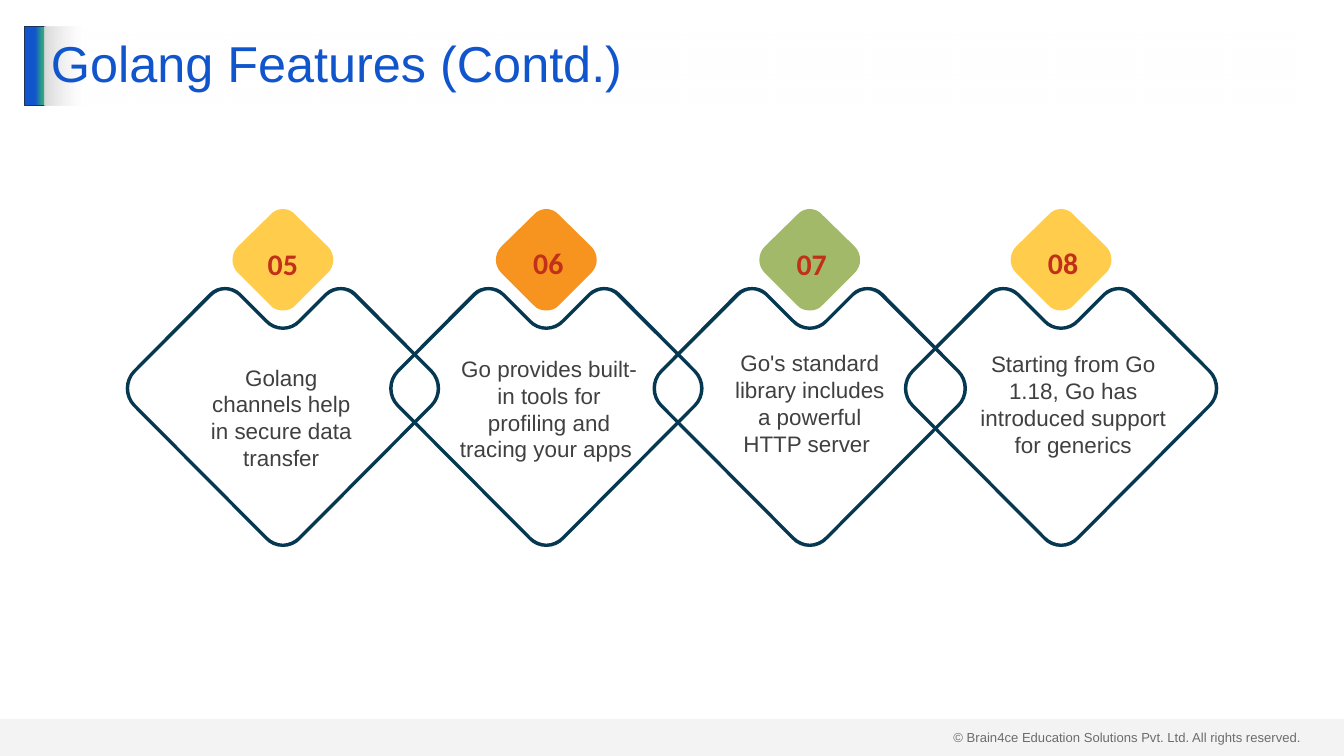
"""Build the Golang features slide with four numbered diamond cards."""
from lxml import etree
from pptx import Presentation
from pptx.dml.color import RGBColor
from pptx.enum.shapes import MSO_SHAPE
from pptx.enum.text import MSO_ANCHOR, MSO_AUTO_SIZE, PP_ALIGN
from pptx.oxml.ns import qn
from pptx.util import Inches, Pt

RECTANGLE = MSO_SHAPE.RECTANGLE
TOP, MIDDLE, BOTTOM = MSO_ANCHOR.TOP, MSO_ANCHOR.MIDDLE, MSO_ANCHOR.BOTTOM
LEFT, CENTER = PP_ALIGN.LEFT, PP_ALIGN.CENTER
GROW, FIXED = MSO_AUTO_SIZE.SHAPE_TO_FIT_TEXT, MSO_AUTO_SIZE.NONE

TITLE = "Golang Features (Contd.)"
COPYRIGHT = "© Brain4ce Education Solutions Pvt. Ltd. All rights reserved."
BLUE, TEAL, GREY, WHITE = "1155CC", "2EA87D", "D9D9D9", "FFFFFF"
NAVY, INK, RED = "063951", "404040", "C13018"

CARDS = [
    {"number": "05", "center": 4.21, "color": "FFCC4C", "number_box": (3.88, 3.6),
     "text": "Golang channels help in secure data transfer", "text_box": (3, 5.34, 2.37)},
    {"number": "06", "center": 8.13, "color": "F7931F", "number_box": (7.83, 3.59),
     "text": "Go provides built-in tools for profiling and tracing your apps ",
     "text_box": (6.84, 5.21, 2.66)},
    {"number": "07", "center": 12.05, "color": "A2B969", "number_box": (11.75, 3.6),
     "text": "Go's standard library includes a powerful HTTP server ",
     "text_box": (10.83, 5.13, 2.44)},
    {"number": "08", "center": 15.79, "color": "FFCC4C", "number_box": (15.49, 3.59),
     "text": "Starting from Go 1.18, Go has introduced support for generics",
     "text_box": (14.58, 5.14, 2.78)},
]

FRAME_OUTER = [
    [(0, 4.86)], [(0.09, 4.86), (0.17, 4.82), (0.23, 4.76)], [(0.63, 4.36)],
    [(0.69, 4.3), (0.77, 4.27), (0.86, 4.27)], [(0.95, 4.27), (1.03, 4.3), (1.09, 4.36)],
    [(2.23, 5.51)], [(2.3, 5.58), (2.34, 5.68), (2.34, 5.78)],
    [(2.34, 5.88), (2.3, 5.98), (2.23, 6.05)],
    [(0.27, 8.02)], [(0.2, 8.1), (0.1, 8.14), (0, 8.14)],
]
FRAME_INNER = [
    [(0, 4.91)], [(0.1, 4.91), (0.2, 4.87), (0.27, 4.79)], [(0.66, 4.4)],
    [(0.72, 4.35), (0.79, 4.32), (0.86, 4.32)], [(0.93, 4.32), (1, 4.35), (1.05, 4.4)],
    [(2.19, 5.54)], [(2.32, 5.67), (2.32, 5.89), (2.19, 6.02)],
    [(0.23, 7.99)], [(0.17, 8.05), (0.08, 8.09), (0, 8.09)],
]
BADGE = [
    [(0, 3.11)], [(0.07, 3.11), (0.14, 3.14), (0.19, 3.2)], [(0.67, 3.67)],
    [(0.72, 3.72), (0.75, 3.79), (0.75, 3.87)], [(0.75, 3.94), (0.72, 4.01), (0.67, 4.06)],
    [(0.19, 4.54)], [(0.14, 4.6), (0.07, 4.62), (0, 4.62)],
]


def rgb(value):
    return RGBColor.from_string(value)


def set_alpha(color_parent, percent):
    color = color_parent.find(".//" + qn("a:srgbClr"))
    etree.SubElement(color, qn("a:alpha")).set("val", str(percent * 1000))


def fill_solid(shape, color):
    shape.shadow.inherit = False
    shape.fill.solid()
    shape.fill.fore_color.rgb = rgb(color)
    shape.line.fill.background()


def fill_gradient(shape, stops):
    shape.shadow.inherit = False
    shape.line.fill.background()
    shape.fill.gradient()
    shape.fill.gradient_angle = 0
    for stop, (position, color) in zip(shape.fill.gradient_stops, stops):
        stop.position = position
        stop.color.rgb = rgb(color)


def add_rectangle(page, *place):
    return page.shapes.add_shape(RECTANGLE, *map(Inches, place))


def write_text(box, text, size, color, font="Arial", bold=False, align=LEFT,
               anchor=TOP, wrap=True, side_inset=0.1, spacing=None, fit=GROW):
    frame = box.text_frame
    frame.word_wrap = wrap
    frame.auto_size = fit
    frame.vertical_anchor = anchor
    frame.margin_left = frame.margin_right = Inches(side_inset)
    para = frame.paragraphs[0]
    para.alignment = align
    para.line_spacing = spacing
    span = para.add_run()
    span.text = text
    span.font.size = Pt(size)
    span.font.name = font
    span.font.bold = bold
    span.font.color.rgb = rgb(color)


def add_text(page, place, text, **style):
    write_text(page.shapes.add_textbox(*map(Inches, place)), text, **style)


def symmetric_outline(half, center):
    mirrored = []
    for before, segment in zip(half, half[1:]):
        backward = [*segment[-2::-1], before[-1]]
        mirrored.insert(0, [(-x, y) for x, y in backward])
    return [[(Inches(center + x), Inches(y)) for x, y in segment]
            for segment in half + mirrored]


def bend_lines(shape, segments):
    lines = list(shape._element.iter(qn("a:lnTo")))
    for line, segment in zip(lines, segments):
        if len(segment) == 3:
            line.tag = qn("a:cubicBezTo")
            for index, (x, y) in enumerate(segment[:2]):
                control = etree.Element(qn("a:pt"), x=str(x - shape.left), y=str(y - shape.top))
                line.insert(index, control)


def add_outline(page, center, color, *halves):
    outlines = [symmetric_outline(half, center) for half in halves]
    builder = page.shapes.build_freeform(*outlines[0][0][0])
    for index, outline in enumerate(outlines):
        if index:
            builder.move_to(*outline[0][0])
        builder.add_line_segments([segment[-1] for segment in outline[1:]])
    shape = builder.convert_to_shape()
    bend_lines(shape, [segment for outline in outlines for segment in outline[1:]])
    fill_solid(shape, color)


def add_card(page, card):
    add_outline(page, card["center"], NAVY, FRAME_OUTER, FRAME_INNER)
    add_outline(page, card["center"], card["color"], BADGE)
    add_text(page, (*card["text_box"], 1.72), card["text"], size=24, color=INK,
             align=CENTER, anchor=BOTTOM, side_inset=0)
    add_text(page, (*card["number_box"], 0.66, 0.64), card["number"], size=32, color=RED,
             font="Calibri", bold=True, align=CENTER, wrap=False)


def main():
    deck = Presentation()
    deck.slide_width, deck.slide_height = Inches(20), Inches(11.25)
    page = deck.slides.add_slide(deck.slide_layouts[6])

    add_text(page, (14.09, 10.8, 5.41, 0.34), COPYRIGHT, size=14, color=INK)
    accent = add_rectangle(page, 0.37, 0.39, 0.3, 1.18)
    fill_gradient(accent, [(0.51, BLUE), (0.9, TEAL)])
    accent.line.color.rgb = rgb("1E3256")
    accent.line.width = Pt(1)
    footer = add_rectangle(page, 0, 10.7, 20, 0.55)
    fill_solid(footer, GREY)
    set_alpha(footer._element.spPr, 29)

    title = add_rectangle(page, 0.66, 0.39, 18.67, 1.18)
    fill_gradient(title, [(0, GREY), (0.03, WHITE)])
    set_alpha(title._element.spPr.findall(".//" + qn("a:gs"))[1], 50)
    write_text(title, TITLE, size=54, color=BLUE, anchor=MIDDLE, spacing=0.9, fit=FIXED)

    for card in CARDS:
        add_card(page, card)
    deck.save("out.pptx")


if __name__ == "__main__":
    main()
